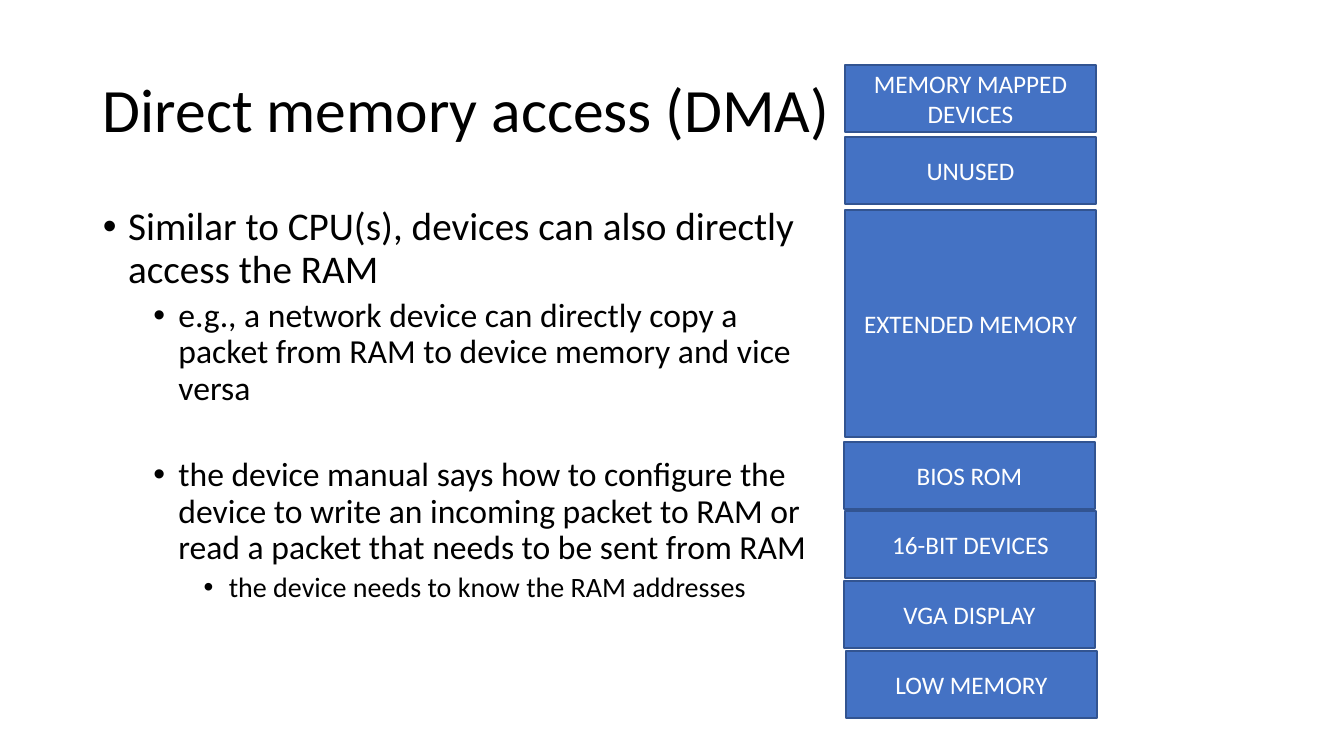
"""Builds a slide on direct memory access beside a map of physical memory."""
from lxml import etree
from pptx import Presentation
from pptx import util as u
from pptx.dml.color import RGBColor
from pptx.enum import shapes, text
from pptx.oxml.ns import qn

EMU_PER_PX = 914400 / 100.8
FONT = "Calibri"
BLACK, WHITE, BLUE, NAVY = "000000", "FFFFFF", "4472C4", "325491"

TITLE = "Direct memory access (DMA)"
TITLE_BOX = (93, 40, 1159, 146)
POINTS_BOX = (93, 202, 729, 480)
POINTS = [
    (0, 0, "Similar to CPU(s), devices can also directly access the RAM"),
    (1, 5, "e.g., a network device can directly copy a packet from RAM "
           "to device memory and vice versa"),
    (1, 36, "the device manual says how to configure the device to write an "
            "incoming packet to RAM or read a packet that needs to be sent from RAM"),
    (2, 5, "the device needs to know the RAM addresses"),
]
POINT_SIZES = (28, 24, 20)
FIRST_INDENT, LEVEL_INDENT = 0.25, 0.5

REGION_WIDTH, REGION_HEIGHT = 251, 67
REGIONS = [
    (845, 65, REGION_HEIGHT, "MEMORY MAPPED DEVICES"),
    (845, 137, REGION_HEIGHT, "UNUSED"),
    (845, 210, 227, "EXTENDED MEMORY"),
    (844, 442, REGION_HEIGHT, "BIOS ROM"),
    (845, 511, REGION_HEIGHT, "16-BIT DEVICES"),
    (844, 581, REGION_HEIGHT, "VGA DISPLAY"),
    (846, 651, REGION_HEIGHT, "LOW MEMORY"),
]


def px(length):
    return u.Emu(round(length * EMU_PER_PX))


def color(code):
    return RGBColor.from_string(code)


def style(paragraph, size, code):
    for run in paragraph.runs:
        run.font.name = FONT
        run.font.size = u.Pt(size)
        run.font.color.rgb = color(code)


def add_text(slide, box, anchor):
    frame = slide.shapes.add_textbox(*map(px, box)).text_frame
    frame.word_wrap = True
    frame.vertical_anchor = anchor
    return frame


def add_bullet(paragraph, level):
    properties = paragraph._p.get_or_add_pPr()
    properties.set("marL", str(u.Inches(FIRST_INDENT + level * LEVEL_INDENT)))
    properties.set("indent", str(-u.Inches(FIRST_INDENT)))
    etree.SubElement(properties, qn("a:buFont")).set("typeface", "Arial")
    etree.SubElement(properties, qn("a:buChar")).set("char", "•")


def add_title(slide):
    heading = add_text(slide, TITLE_BOX, text.MSO_ANCHOR.MIDDLE).paragraphs[0]
    heading.text = TITLE
    heading.line_spacing = 0.9
    style(heading, 44, BLACK)


def add_points(slide):
    frame = add_text(slide, POINTS_BOX, text.MSO_ANCHOR.TOP)
    frame.text = "\n".join(words for _, _, words in POINTS)
    for point, (level, space, _) in zip(frame.paragraphs, POINTS):
        add_bullet(point, level)
        point.level = level
        point.line_spacing = 0.9
        if space:
            point.space_before = u.Pt(space)
        style(point, POINT_SIZES[level], BLACK)


def add_region(slide, left, top, height, label):
    region = slide.shapes.add_shape(
        shapes.MSO_SHAPE.RECTANGLE, *map(px, (left, top, REGION_WIDTH, height)))
    region.shadow.inherit = False
    region.fill.solid()
    region.fill.fore_color.rgb = color(BLUE)
    region.line.color.rgb = color(NAVY)
    region.line.width = u.Pt(1)
    frame = region.text_frame
    frame.word_wrap = True
    frame.vertical_anchor = text.MSO_ANCHOR.MIDDLE
    frame.text = label
    frame.paragraphs[0].alignment = text.PP_ALIGN.CENTER
    style(frame.paragraphs[0], 18, WHITE)


def main():
    deck = Presentation()
    deck.slide_width, deck.slide_height = px(1344), px(756)
    slide = deck.slides.add_slide(deck.slide_layouts[6])
    add_title(slide)
    add_points(slide)
    for region in REGIONS:
        add_region(slide, *region)
    deck.save("out.pptx")


if __name__ == "__main__":
    main()
